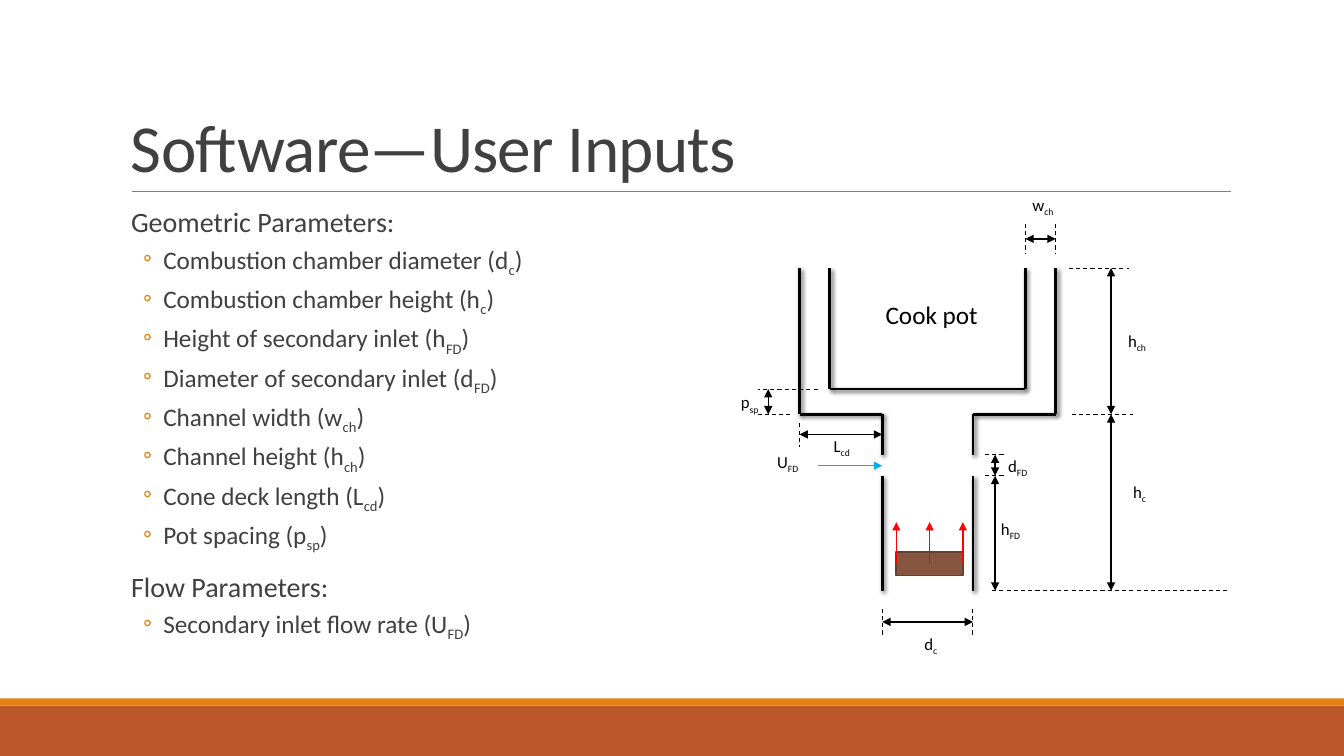
from lxml.etree import SubElement
from pptx import Presentation
from pptx.dml.color import RGBColor
from pptx.enum.dml import MSO_LINE
from pptx.enum.shapes import MSO_CONNECTOR, MSO_SHAPE
from pptx.enum.text import MSO_ANCHOR, PP_ALIGN
from pptx.oxml.ns import qn
from pptx.util import Inches, Pt

BLACK = RGBColor(0x00, 0x00, 0x00)
DARK = RGBColor(0x40, 0x40, 0x40)
GRAY = RGBColor(0x80, 0x80, 0x80)
ORANGE = RGBColor(0xE4, 0x83, 0x12)
RUST = RGBColor(0xBD, 0x58, 0x2C)
FUEL = RGBColor(0x86, 0x56, 0x40)
FUEL_EDGE = RGBColor(0x63, 0x40, 0x2F)
RED = RGBColor(0xFF, 0x00, 0x00)
BLUE = RGBColor(0x00, 0xB0, 0xF0)

GEOMETRIC = [
    ("Combustion chamber diameter (d", "c"),
    ("Combustion chamber height (h", "c"),
    ("Height of secondary inlet (h", "FD"),
    ("Diameter of secondary inlet (d", "FD"),
    ("Channel width (w", "ch"),
    ("Channel height (h", "ch"),
    ("Cone deck length (L", "cd"),
    ("Pot spacing (p", "sp"),
]
FLOW = [("Secondary inlet flow rate (U", "FD")]


def add_run(p, text, size, color, subscript=False):
    r = p.add_run()
    r.text = text
    r.font.name = "Calibri"
    r.font.size = Pt(size)
    r.font.color.rgb = color
    if subscript:
        r.font._element.set("baseline", "-25000")
    return r


def add_text_box(s, x, y, w, h):
    tf = s.shapes.add_textbox(Inches(x), Inches(y), Inches(w), Inches(h)).text_frame
    tf.word_wrap = True
    return tf


def add_rect(s, x, y, w, h, fill, edge=None):
    sp = s.shapes.add_shape(MSO_SHAPE.RECTANGLE, Inches(x), Inches(y), Inches(w), Inches(h))
    sp.shadow.inherit = False
    sp.fill.solid()
    sp.fill.fore_color.rgb = fill
    if edge:
        sp.line.color.rgb = edge
        sp.line.width = Pt(1.25)
    else:
        sp.line.fill.background()


def add_line(s, x1, y1, x2, y2, color=BLACK, width=1.0, dash=False, ends=(), shadow=False):
    """Draw a line; ends names its arrowheads, headEnd and tailEnd, in that order."""
    c = s.shapes.add_connector(MSO_CONNECTOR.STRAIGHT,
                               Inches(x1), Inches(y1), Inches(x2), Inches(y2))
    c.line.color.rgb = color
    c.line.width = Pt(width)
    if dash:
        c.line.dash_style = MSO_LINE.DASH
    for end in ends:
        SubElement(c.line._get_or_add_ln(), qn(f"a:{end}"), type="triangle")
    effects = SubElement(c._element.spPr, qn("a:effectLst"))
    if shadow:
        outer = SubElement(effects, qn("a:outerShdw"), blurRad=str(Pt(3)), dist=str(Pt(2)),
                           dir="2700000", algn="tl", rotWithShape="0")
        clr = SubElement(outer, qn("a:srgbClr"), val=str(BLACK))
        SubElement(clr, qn("a:alpha"), val="60000")


def add_footer_bands(s, x, y, w, h):
    stripe = 0.07
    add_rect(s, x, y + stripe, w, h - stripe, RUST)
    add_rect(s, x, y, w, stripe, ORANGE)


def add_title(s, x, y, w, h):
    tf = add_text_box(s, x, y, w, h)
    tf.vertical_anchor = MSO_ANCHOR.BOTTOM
    p = tf.paragraphs[0]
    p.line_spacing = 0.85
    r = add_run(p, "Software—User Inputs", 48, DARK)
    r.font._element.set("spc", "-50")
    add_line(s, x + 0.11, y + h, x + w + 0.01, y + h, GRAY, 0.5)


def format_paragraph(p, before, after, margin, indent):
    p.line_spacing = 0.9
    p.space_before, p.space_after = Pt(before), Pt(after)
    pPr = p._p.get_or_add_pPr()
    pPr.set("marL", str(Inches(margin)))
    pPr.set("indent", str(Inches(indent)))
    return pPr


def add_parameters(s, x, y, w, h):
    tf = add_text_box(s, x, y, w, h)
    tf.margin_left = tf.margin_right = 0
    p = tf.paragraphs[0]
    for heading, items in (("Geometric Parameters:", GEOMETRIC), ("Flow Parameters:", FLOW)):
        if p is None:
            p = tf.add_paragraph()
        format_paragraph(p, 12, 2, 0.1, 0)
        add_run(p, heading, 20, DARK)
        for text, sub in items:
            p = tf.add_paragraph()
            p.level = 1
            pPr = format_paragraph(p, 2, 4, 0.42, -0.2)
            SubElement(SubElement(pPr, qn("a:buClr")), qn("a:srgbClr"), val=str(ORANGE))
            SubElement(pPr, qn("a:buFont"), typeface="Calibri")
            SubElement(pPr, qn("a:buChar"), char="◦")
            add_run(p, text, 18, DARK)
            add_run(p, sub, 18, DARK, subscript=True)
            add_run(p, ")", 18, DARK)
        p = None


def add_stove_diagram(s, x, y):
    """Draw the stove section with its dimensions from the top left corner x, y."""
    outer_l, pot_l, pot_r, outer_r = x + 0.68, x + 0.98, x + 2.92, x + 3.22
    chamber_l, chamber_r = x + 1.5, x + 2.4
    rim, pot_base, deck = y + 0.78, y + 1.98, y + 2.23
    inlet_top, inlet_base, floor = y + 2.63, y + 2.84, y + 3.98
    inlet_dim, height_dim, gap_dim = x + 2.62, x + 3.77, x + 0.37

    walls = [(pot_l, pot_base, pot_r, pot_base),
             (outer_l, deck, chamber_l, deck), (chamber_r, deck, outer_r, deck)]
    walls += [(wx, rim, wx, deck) for wx in (outer_l, outer_r)]
    walls += [(wx, rim, wx, pot_base) for wx in (pot_l, pot_r)]
    for wx in (chamber_l, chamber_r):
        walls += [(wx, deck, wx, inlet_top), (wx, inlet_base, wx, floor)]
    for wall in walls:
        add_line(s, *wall, width=2, shadow=True)

    guides = [(wx, y + 4.16, wx, y + 4.42) for wx in (chamber_l, chamber_r)]
    guides += [(wx, y + 0.34, wx, y + 0.63) for wx in (pot_r, outer_r)]
    guides += [(x + 2.52, gy, x + 2.72, gy) for gy in (inlet_top, inlet_base)]
    guides += [(x + 2.59, floor, x + 4.95, floor),
               (x + 3.38, deck, x + 3.99, deck), (x + 3.35, rim, x + 3.95, rim),
               (outer_l, y + 2.32, outer_l, y + 2.55),
               (x + 0.86, pot_base, x + 0.27, pot_base), (x + 0.59, deck, x + 0.27, deck)]
    for guide in guides:
        add_line(s, *guide, width=0.75, dash=True)

    dimensions = [
        (pot_r, y + 0.49, outer_r, y + 0.49),
        (chamber_l, y + 4.29, chamber_r, y + 4.29),
        (outer_l, y + 2.43, chamber_l, y + 2.43),
        (inlet_dim, inlet_base, inlet_dim, floor),
        (inlet_dim, inlet_top, inlet_dim, inlet_base),
        (height_dim, deck, height_dim, floor),
        (height_dim, rim, height_dim, deck),
        (gap_dim, pot_base, gap_dim, deck),
    ]
    for dimension in dimensions:
        add_line(s, *dimension, ends=("headEnd", "tailEnd"))

    fuel_x, fuel_y, fuel_w, fuel_h = x + 1.64, y + 3.6, 0.66, 0.23
    add_rect(s, fuel_x, fuel_y, fuel_w, fuel_h, FUEL, FUEL_EDGE)
    for i in range(3):
        flame = fuel_x + i * fuel_w / 2
        add_line(s, flame, fuel_y + 0.12, flame, fuel_y - 0.3, RED, ends=("tailEnd",))
    add_line(s, x + 0.86, y + 2.74, chamber_l, y + 2.74, BLUE, ends=("tailEnd",))

    labels = [("d", "c", 1.82, 4.36), ("w", "ch", 2.89, 0), ("h", "c", 3.89, 2.85),
              ("h", "FD", 2.58, 3.22), ("d", "FD", 2.65, 2.59), ("h", "ch", 3.84, 1.35),
              ("L", "cd", 0.92, 2.39), ("p", "sp", 0, 1.96), ("U", "FD", 0.36, 2.55)]
    for symbol, sub, dx, dy in labels:
        p = add_text_box(s, x + dx, y + dy, 0.47, 0.3).paragraphs[0]
        add_run(p, symbol, 12, BLACK)
        add_run(p, sub, 12, BLACK, subscript=True)
    p = add_text_box(s, x + 1.25, y + 1.04, 1.48, 0.4).paragraphs[0]
    p.alignment = PP_ALIGN.CENTER
    add_run(p, "Cook pot", 18, BLACK)


def main():
    prs = Presentation()
    prs.slide_width, prs.slide_height = Inches(13.33), Inches(7.5)
    s = prs.slides.add_slide(prs.slide_layouts[6])
    add_footer_bands(s, 0, 6.93, 13.33, 0.57)
    add_title(s, 1.2, 0.31, 11, 1.59)
    add_parameters(s, 1.2, 2.02, 11, 4.4)
    add_stove_diagram(s, 7.25, 1.88)
    prs.save("out.pptx")


if __name__ == "__main__":
    main()
